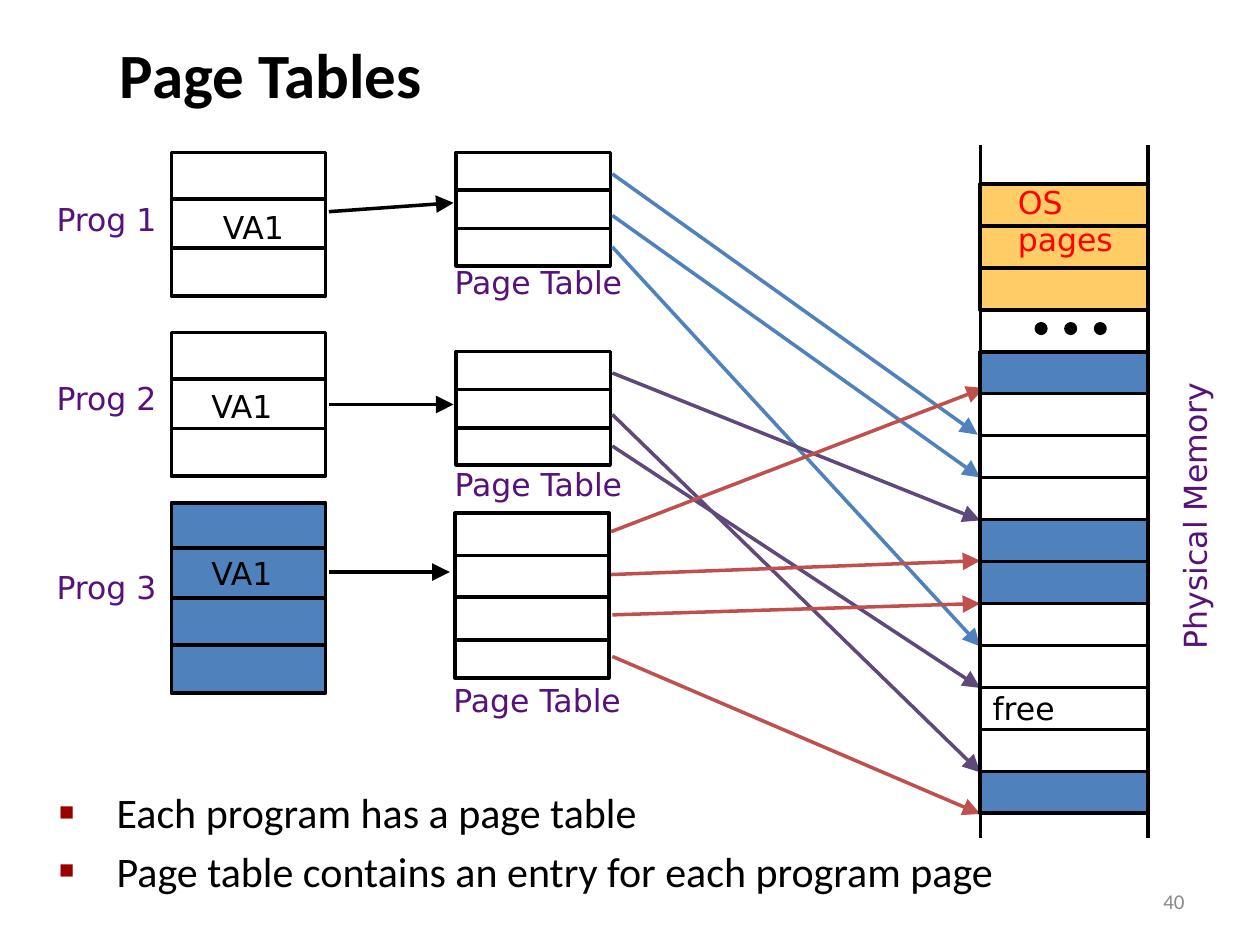
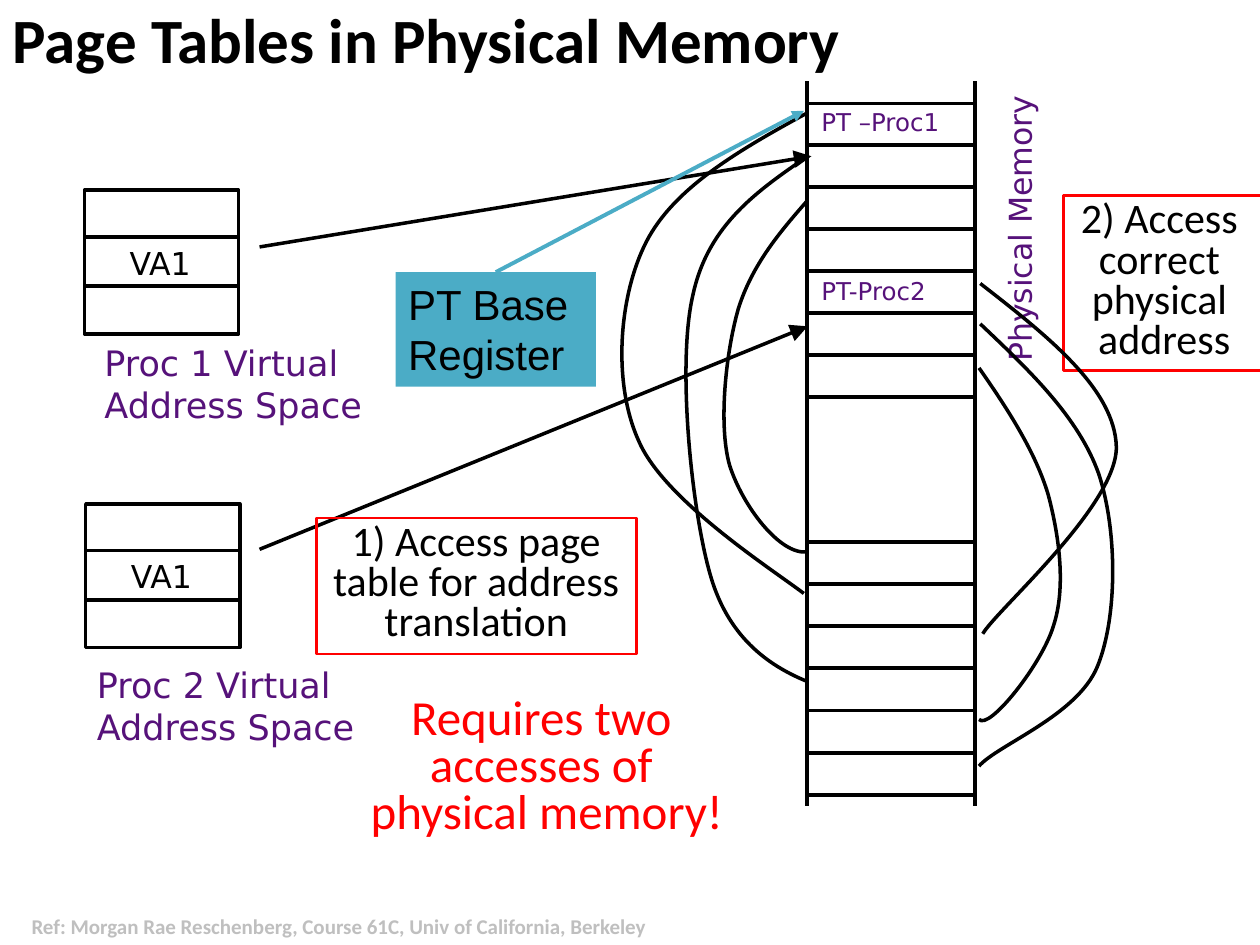
from lxml.etree import SubElement
from pptx import Presentation
from pptx.dml.color import RGBColor
from pptx.enum.shapes import MSO_CONNECTOR, MSO_SHAPE
from pptx.enum.text import MSO_ANCHOR, MSO_AUTO_SIZE, PP_ALIGN
from pptx.oxml.ns import qn
from pptx.util import Inches, Pt

COLORS = {
    "ink": "000000", "paper": "FFFFFF", "label": "56127A", "blue": "4F81BD",
    "violet": "5F497A", "brick": "C0504D", "aqua": "4BACC6", "os": "FFCC66",
    "alert": "FF0000", "bullet": "990000", "number": "898989", "reference": "BFBFBF",
}
SLIDE_WIDTH, SLIDE_HEIGHT = Inches(10), Inches(7.5)
COLUMNS, ROWS = 100, 75
DIAGRAM_FONT, BODY_FONT = "DejaVu Sans", "Calibri"
BLOCK_WIDTH = 12.24
CELL_WIDTH, CELL_HEIGHT = 13.33, 3.33
SPACE_HEIGHT, SPACE_DIVIDERS = 11.4, (3.7, 7.6)
TABLE_HEIGHT, TABLE_DIVIDERS = 9, (3, 6.05)
MEMORY_LEFT = {"programs": 77.8, "processes": 64.05}

MEMORY_PAGES = ["os", "os", "os", None, "blue", "paper", "paper", "paper", "blue",
                "blue", "paper", "paper", "paper", "paper", "blue"]
PAGE_LINKS = {
    "blue": [(48.6, 13.8, 77.6, 34.5), (48.6, 17.1, 77.8, 37.9), (48.6, 19.6, 77.8, 51.3)],
    "violet": [(48.6, 29.6, 77.8, 41.3), (48.6, 32.9, 77.8, 61.3), (48.6, 35.4, 77.8, 54.6)],
    "brick": [(48.5, 42.2, 78.1, 30.8), (48.5, 45.6, 77.8, 44.5),
              (48.6, 48.8, 77.8, 47.9), (48.6, 52.1, 77.8, 64.6)],
}
MAPPING_CURVES = [
    [(77.8, 25.7), (81.7, 29.4), (85.6, 33.1), (87.2, 37.6), (88.7, 42.1), (88.7, 49),
     (87.1, 52.9), (85.5, 56.8), (79.2, 59.1), (77.7, 60.8)],
    [(77.7, 29.2), (80, 32.5), (82.2, 35.9), (83.2, 39.3), (84.1, 42.7), (84.6, 46.7),
     (83.6, 49.7), (82.7, 52.7), (78.5, 58), (77.7, 57.1)],
    [(77.8, 22.5), (83.2, 26.7), (88.5, 30.9), (88.6, 35.5), (88.6, 40.2), (79.1, 48.4),
     (78, 50.3)],
    [(64.1, 15.9), (61.9, 18.4), (59.7, 21), (58.6, 24.5), (57.6, 28), (57, 33.7),
     (57.9, 36.9), (58.9, 40.1), (61.9, 44.1), (64.1, 43.8)],
    [(64.1, 12.4), (60.2, 15.1), (56.2, 17.8), (55, 23.4), (53.7, 28.9), (54.9, 40.6),
     (56.4, 45.7), (57.9, 50.9), (61.4, 53), (64.1, 54.1)],
    [(64, 9), (58.7, 11.9), (53.5, 14.9), (51.3, 19.2), (49.1, 23.5), (48.6, 30.4),
     (50.7, 35), (52.7, 39.7), (61.3, 45.2), (63.8, 47.1)],
]


def across(columns):
    """Turn grid columns into a length."""
    return round(SLIDE_WIDTH * columns / COLUMNS)


def down(rows):
    """Turn grid rows into a length."""
    return round(SLIDE_HEIGHT * rows / ROWS)


def place(left, top, width, height):
    """Turn a grid box into lengths."""
    return across(left), down(top), across(width), down(height)


def rgb(color):
    """Look up a named colour."""
    return RGBColor.from_string(COLORS[color])


def write(frame, text, size=18, font=DIAGRAM_FONT, color="ink", bold=False,
          align=PP_ALIGN.LEFT, anchor=MSO_ANCHOR.TOP, spacing=None):
    """Fill a text frame with one paragraph for each line of text."""
    frame.text = text
    frame.word_wrap = True
    frame.auto_size = MSO_AUTO_SIZE.NONE
    frame.vertical_anchor = anchor
    for paragraph in frame.paragraphs:
        paragraph.alignment = align
        if spacing:
            paragraph.line_spacing = spacing
        for run in paragraph.runs:
            run.font.size, run.font.name, run.font.bold = Pt(size), font, bold
            run.font.color.rgb = rgb(color)


def add_label(slide, text, box, rotation=0, **style):
    """Add free-standing text."""
    label = slide.shapes.add_textbox(*place(*box))
    label.rotation = rotation
    write(label.text_frame, text, **style)


def add_title(slide, text, box):
    """Move and format the title placeholder."""
    title = slide.shapes.title
    title.left, title.top, title.width, title.height = place(*box)
    write(title.text_frame, text, size=36, font=BODY_FONT, bold=True, anchor=MSO_ANCHOR.MIDDLE)


def add_bullets(slide, text, box):
    """Move the body placeholder and give it square bullets."""
    points = slide.placeholders[1]
    points.left, points.top, points.width, points.height = place(*box)
    write(points.text_frame, text, size=24, font=BODY_FONT)
    for paragraph in points.text_frame.paragraphs:
        paragraph.space_before = Pt(4.8)
        props = paragraph._p.get_or_add_pPr()
        props.set("marL", str(across(3.8)))
        props.set("indent", str(-across(3.8)))
        bullet_color = SubElement(props, qn("a:buClr"))
        SubElement(bullet_color, qn("a:srgbClr"), val=COLORS["bullet"])
        SubElement(props, qn("a:buSzPct"), val="60000")
        SubElement(props, qn("a:buFont"), typeface="Arial")
        SubElement(props, qn("a:buChar"), char="■")


def add_box(slide, box, fill=None, line="ink", weight=2, kind=MSO_SHAPE.RECTANGLE,
            text=None, **style):
    """Add a preset shape, with text if given."""
    shape = slide.shapes.add_shape(kind, *place(*box))
    shape.shadow.inherit = False
    if fill:
        shape.fill.solid()
        shape.fill.fore_color.rgb = rgb(fill)
    else:
        shape.fill.background()
    if line:
        shape.line.color.rgb = rgb(line)
        shape.line.width = Pt(weight)
    else:
        shape.line.fill.background()
    if text:
        write(shape.text_frame, text, **style)
    return shape


def add_line(slide, x1, y1, x2, y2, color="ink", weight=2, head=None, begin=None, end=None):
    """Add a straight line, joined to (shape, side) pairs if given."""
    line = slide.shapes.add_connector(
        MSO_CONNECTOR.STRAIGHT, across(x1), down(y1), across(x2), down(y2))
    line.line.color.rgb = rgb(color)
    line.line.width = Pt(weight)
    if begin:
        line.begin_connect(*begin)
    if end:
        line.end_connect(*end)
    if head:
        SubElement(line.line._get_or_add_ln(), qn("a:tailEnd"), type="triangle", w=head, len=head)
    SubElement(line._element.spPr, qn("a:effectLst"))


def add_block(slide, left, top, height, dividers, fill="paper"):
    """Add an outlined block of pages, parted at the given depths."""
    block = add_box(slide, (left, top, BLOCK_WIDTH, height), fill)
    for depth in dividers:
        y = top + depth
        middle = abs(depth - height / 2) < 0.1
        add_line(slide, left, y, left + BLOCK_WIDTH, y,
                 begin=(block, 1) if middle else None, end=(block, 3) if middle else None)


def add_cells(slide, left, top, fills, pitch=CELL_HEIGHT, names=None):
    """Stack memory cells, leaving a gap where there is no fill."""
    for index, fill in enumerate(fills):
        if fill:
            add_box(slide, (left, top + index * pitch, CELL_WIDTH, CELL_HEIGHT), fill,
                    text=(names or {}).get(index), anchor=MSO_ANCHOR.MIDDLE)


def add_rails(slide, left, top, bottom):
    """Draw the two long sides of the memory."""
    for x in (left, left + CELL_WIDTH):
        add_line(slide, x, top, x, bottom)


def add_curve(slide, start, *points):
    """Draw an open curve, each three points being one cubic segment."""
    builder = slide.shapes.build_freeform(across(start[0]), down(start[1]))
    builder.add_line_segments([(across(x), down(y)) for x, y in points], close=False)
    curve = builder.convert_to_shape()
    curve.shadow.inherit = False
    curve.fill.background()
    curve.line.color.rgb = rgb("ink")
    curve.line.width = Pt(2)
    steps = list(curve._element.iter(qn("a:lnTo")))
    outline = steps[0].getparent()
    for first in range(0, len(steps), 3):
        cubic = SubElement(outline, qn("a:cubicBezTo"))
        for step in steps[first:first + 3]:
            cubic.append(step[0])
            outline.remove(step)


def build_page_tables(deck):
    """Show how each program's pages map to memory."""
    slide = deck.slides.add_slide(deck.slide_layouts[1])
    add_title(slide, "Page Tables", (8.5, 1.8, 79.8, 8.1))
    add_label(slide, "40", (71.7, 69.5, 23.3, 4), size=12, font=BODY_FONT, color="number",
              align=PP_ALIGN.RIGHT, anchor=MSO_ANCHOR.MIDDLE)
    add_bullets(slide, " Each program has a page table\n"
                " Page table contains an entry for each program page", (3.7, 61.9, 82.2, 7.7))

    add_block(slide, 13.6, 12.1, SPACE_HEIGHT, SPACE_DIVIDERS)
    add_block(slide, 13.6, 26.4, SPACE_HEIGHT, SPACE_DIVIDERS)
    add_block(slide, 13.6, 39.9, 15.1, (3.6, 7.5, 11.3), "blue")
    for number, (name_top, address_left, address_top) in enumerate(
            [(15.4, 16.7, 16), (29.6, 15.8, 30.2), (44.6, 15.8, 43.5)], 1):
        add_label(slide, "VA1", (address_left, address_top, 7, 4))
        add_label(slide, f"Prog {number}", (3.5, name_top, 10.2, 4), color="label")
    add_label(slide, "Physical Memory", (82.1, 37.8, 25.4, 4), 270, color="label")

    for left, top in ((35.1, 20.4), (35.1, 36.4), (35, 53.6)):
        add_label(slide, "Page Table", (left, top, 16.6, 4), color="label")
    for top in (12.1, 27.9):
        add_block(slide, 36.2, top, TABLE_HEIGHT, TABLE_DIVIDERS)
    add_block(slide, 36.1, 40.7, 13.1, (3.4, 6.7, 10.1))

    for link in ((26.1, 16.8, 36, 16.1), (26.1, 32.1, 36, 32.1), (26.1, 45.4, 35.7, 45.4)):
        add_line(slide, *link, head="lg")
    for color, links in PAGE_LINKS.items():
        for link in links:
            add_line(slide, *link, color=color, head="lg")

    memory = MEMORY_LEFT["programs"]
    add_cells(slide, memory, 14.6, MEMORY_PAGES, names={12: "free"})
    add_rails(slide, memory, 11.5, 66.5)
    add_label(slide, "OS\npages", (79.8, 14, 10.4, 5.2), color="alert")
    for dot in range(3):
        add_box(slide, (82.25 + dot * 2.35, 25.7, 0.75, 0.75), "ink", kind=MSO_SHAPE.OVAL)


def build_tables_in_memory(deck):
    """Show page tables that are kept in memory and the two accesses."""
    slide = deck.slides.add_slide(deck.slide_layouts[5])
    add_title(slide, "Page Tables in Physical Memory", (0, -1.9, 100, 9.9))
    register = add_box(slide, (31.4, 21.6, 15.9, 9.1), "aqua", None,
                       text="PT Base Register", size=24, font="Arial")

    for number, (left, top, name_left, name_top) in enumerate(
            [(6.7, 15.1, 7.3, 26.6), (6.8, 40, 6.7, 52.2)], 1):
        add_block(slide, left, top, SPACE_HEIGHT, SPACE_DIVIDERS)
        add_label(slide, "VA1", (left + 2.6, top + 3.75, 7, 4))
        add_label(slide, f"Proc {number} Virtual Address Space",
                  (name_left, name_top, 26.1, 7.7), size=20, color="label")

    memory = MEMORY_LEFT["processes"]
    add_cells(slide, memory, 8.2, ["paper"] * 7)
    add_cells(slide, memory, 43, ["paper"] * 6, pitch=3.35)
    add_rails(slide, memory, 6.45, 64)
    for name, top in (("PT –Proc1", 8), ("PT-Proc2", 21.4)):
        add_label(slide, name, (64.2, top, 12, 7), size=14, color="label")
    add_label(slide, "Physical Memory", (68.2, 15, 25.4, 4), 270, color="label")

    add_line(slide, 20.6, 19.6, 64.4, 12.4, head="lg")
    add_line(slide, 20.6, 43.6, 64.1, 25.9, head="lg")
    note = dict(font=BODY_FONT, align=PP_ALIGN.CENTER, spacing=0.8)
    for text, box in (
            ("1) Access page table for address translation", (25.1, 41.1, 25.4, 10.8)),
            ("2) Access \ncorrect \nphysical \naddress", (84.4, 15.5, 16, 13.9))):
        add_box(slide, box, line="alert", weight=1.5, text=text, size=24, **note)
    add_label(slide, "Requires two \naccesses of \nphysical memory!",
              (28.4, 54.9, 30, 12.4), size=28, color="alert", **note)

    for curve in MAPPING_CURVES:
        add_curve(slide, *curve)
    add_line(slide, 39.35, 21.6, 63.8, 8.8, "aqua", 2.25, "med", begin=(register, 0))
    add_label(slide, "Ref: Morgan Rae Reschenberg, Course 61C, Univ of California, Berkeley ",
              (0.3, 71.5, 53.6, 4), size=12, font=BODY_FONT, color="reference", bold=True,
              align=PP_ALIGN.CENTER, anchor=MSO_ANCHOR.MIDDLE)


def main():
    """Build the deck."""
    deck = Presentation()
    deck.slide_width, deck.slide_height = SLIDE_WIDTH, SLIDE_HEIGHT
    build_page_tables(deck)
    build_tables_in_memory(deck)
    deck.save("out.pptx")


if __name__ == "__main__":
    main()
